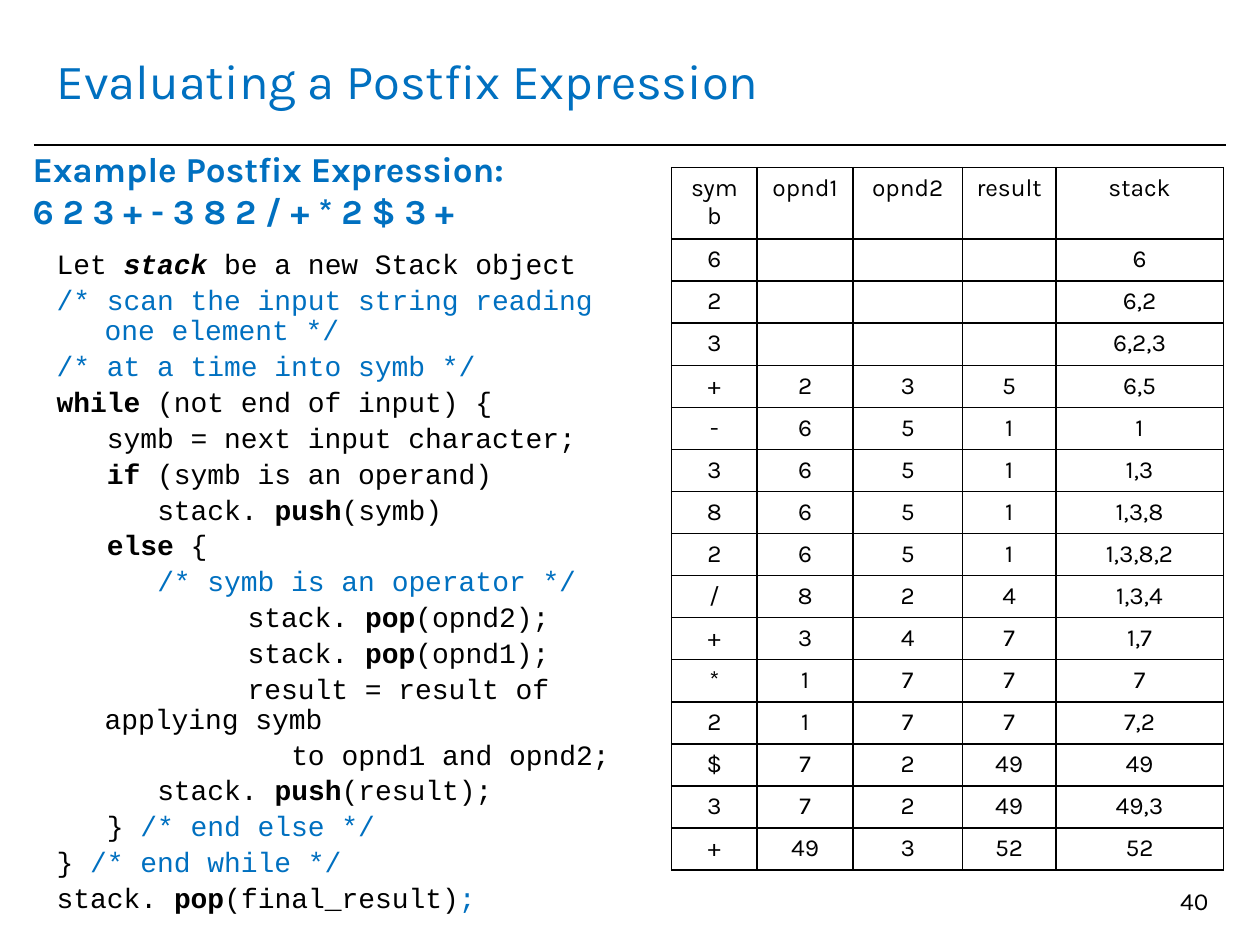
"""Build the slide that traces the evaluation of a postfix expression."""
from lxml import etree
from pptx import Presentation
from pptx import util as u
from pptx.dml.color import RGBColor
from pptx.enum import shapes, text
from pptx.oxml import ns

BLUE = RGBColor(0x00, 0x70, 0xC0)
BLACK = RGBColor(0x00, 0x00, 0x00)
WHITE = RGBColor(0xFF, 0xFF, 0xFF)
GRID_UNIT = u.Inches(0.1)
HANGING = 3.8
CHARACTER = 1.33
ROW_HEIGHT = 3.33

TITLE_FONT = {"name": "Karla", "size": u.Pt(28)}
HEADING_FONT = {"name": "Karla", "size": u.Pt(20), "bold": True}
SMALL_FONT = {"name": "Karla", "size": u.Pt(14)}
CODE_FONT = {"name": "Courier New", "size": u.Pt(16)}
STYLES = {
    "plain": (BLACK, {}),
    "bold": (BLACK, {"bold": True}),
    "name": (BLACK, {"bold": True, "italic": True}),
    "note": (BLUE, {}),
}

CODE = [
    (0, [("Let ", "plain"), ("stack", "name"), (" be a new Stack object", "plain")]),
    (0, [("/* scan the input string reading one element */", "note")]),
    (0, [("/* at a time into symb */", "note")]),
    (0, [("while", "bold"), (" (not end of input) {", "plain")]),
    (3, [("symb = next input character;", "plain")]),
    (3, [("if", "bold"), (" (symb is an operand)", "plain")]),
    (6, [("stack. ", "plain"), ("push", "bold"), ("(symb)", "plain")]),
    (3, [("else", "bold"), (" {", "plain")]),
    (6, [("/* symb is an operator */", "note")]),
    (11.4, [("stack. ", "plain"), ("pop", "bold"), ("(opnd2);", "plain")]),
    (11.4, [("stack. ", "plain"), ("pop", "bold"), ("(opnd1);", "plain")]),
    (11.4, [("result = result of applying symb", "plain")]),
    (14, [("to opnd1 and opnd2;", "plain")]),
    (6, [("stack. ", "plain"), ("push", "bold"), ("(result);", "plain")]),
    (3, [("} ", "plain"), ("/* end else */", "note")]),
    (0, [("} ", "plain"), ("/* end while */", "note")]),
    (0, [("stack. ", "plain"), ("pop", "bold"), ("(final_result)", "plain"), (";", "note")]),
]

TRACE_COLUMNS = [6.8, 7.6, 8.7, 7.4, 13.3]
TRACE = [
    ("symb", "opnd1", "opnd2", "result", "stack"),
    ("6", "", "", "", "6"),
    ("2", "", "", "", "6,2"),
    ("3", "", "", "", "6,2,3"),
    ("+", "2", "3", "5", "6,5"),
    ("-", "6", "5", "1", "1"),
    ("3", "6", "5", "1", "1,3"),
    ("8", "6", "5", "1", "1,3,8"),
    ("2", "6", "5", "1", "1,3,8,2"),
    ("/", "8", "2", "4", "1,3,4"),
    ("+", "3", "4", "7", "1,7"),
    ("*", "1", "7", "7", "7"),
    ("2", "1", "7", "7", "7,2"),
    ("$", "7", "2", "49", "49"),
    ("3", "7", "2", "49", "49,3"),
    ("+", "49", "3", "52", "52"),
]


def grid(*units):
    """Turn columns and rows of the grid into lengths."""
    return [u.Emu(round(unit * GRID_UNIT)) for unit in units]


def set_values(target, values):
    """Set each attribute that a dict of format values names."""
    for name, value in values.items():
        setattr(target, name, value)


def place(shape, *box):
    """Move and size a shape by grid units."""
    set_values(shape, dict(zip(("left", "top", "width", "height"), grid(*box))))


def write_span(para, words, font, color):
    """Add one formatted run to a paragraph."""
    span = para.add_run()
    span.text = words
    set_values(span.font, font)
    span.font.color.rgb = color


def add_title(page, words):
    """Fill the title placeholder."""
    title = page.shapes.title
    place(title, 3.5, 2.1, 92.9, 8.5)
    set_values(title.text_frame, {"vertical_anchor": text.MSO_ANCHOR.MIDDLE,
                                  "auto_size": text.MSO_AUTO_SIZE.NONE})
    para = title.text_frame.paragraphs[0]
    para.alignment = text.PP_ALIGN.LEFT
    write_span(para, words, TITLE_FONT, BLUE)


def add_rule(page):
    """Draw the line below the title."""
    rule = page.shapes.add_connector(
        shapes.MSO_CONNECTOR.STRAIGHT, *grid(2.7, 11.5, 97.3, 11.5))
    rule.line.color.rgb = BLACK
    rule.line.width = u.Pt(1)
    etree.SubElement(rule.element.spPr, ns.qn("a:effectLst"))


def add_text(page, box, lines, font, color, alignment=text.PP_ALIGN.LEFT):
    """Add a wrapping text box with one paragraph for each line."""
    frame = page.shapes.add_textbox(*grid(*box)).text_frame
    frame.word_wrap = True
    for number, line in enumerate(lines):
        para = frame.add_paragraph() if number else frame.paragraphs[0]
        para.alignment = alignment
        write_span(para, line, font, color)


def add_code(page):
    """Fill the body placeholder with the indented algorithm."""
    body = page.placeholders[1]
    place(body, 3.5, 19.4, 48.8, 55.9)
    frame = body.text_frame
    frame.auto_size = text.MSO_AUTO_SIZE.NONE
    for number, (depth, spans) in enumerate(CODE):
        para = frame.add_paragraph() if number else frame.paragraphs[0]
        set_values(para, {"line_spacing": 0.9, "space_before": u.Pt(3.2)})
        properties = para._p.get_or_add_pPr()
        margin, indent = grid(HANGING, depth * CHARACTER - HANGING)
        properties.set("marL", str(margin))
        properties.set("indent", str(indent))
        etree.SubElement(properties, ns.qn("a:buNone"))
        for words, style in spans:
            color, extra = STYLES[style]
            write_span(para, words, CODE_FONT | extra, color)


def format_cell(cell, words):
    """Write a centred value in a white cell with black borders."""
    para = cell.text_frame.paragraphs[0]
    para.alignment = text.PP_ALIGN.CENTER
    if words:
        write_span(para, words, SMALL_FONT, BLACK)
    else:
        end = etree.SubElement(para._p, ns.qn("a:endParaRPr"))
        end.set("sz", str(int(SMALL_FONT["size"].pt * 100)))
    properties = cell._tc.get_or_add_tcPr()
    for side in ("lnL", "lnR", "lnT", "lnB"):
        border = etree.SubElement(properties, ns.qn(f"a:{side}"), w=str(u.Pt(1)))
        fill = etree.SubElement(border, ns.qn("a:solidFill"))
        etree.SubElement(fill, ns.qn("a:srgbClr"), val=str(BLACK))
    cell.fill.solid()
    cell.fill.fore_color.rgb = WHITE


def add_trace(page):
    """Add the table that follows the operands and the stack."""
    box = (53.3, 13.3, sum(TRACE_COLUMNS), ROW_HEIGHT * len(TRACE))
    table = page.shapes.add_table(len(TRACE), len(TRACE_COLUMNS), *grid(*box)).table
    set_values(table, {"first_row": False, "horz_banding": False})
    for column, width in zip(table.columns, grid(*TRACE_COLUMNS)):
        column.width = width
    for row, values in zip(table.rows, TRACE):
        for cell, words in zip(row.cells, values):
            format_cell(cell, words)


def main():
    """Build and save the slide."""
    deck = Presentation()
    deck.slide_width, deck.slide_height = grid(100, 75)
    page = deck.slides.add_slide(deck.slide_layouts[1])
    add_rule(page)
    add_title(page, "Evaluating a Postfix Expression")
    add_code(page)
    add_text(page, (73.6, 69.8, 23.3, 5.2), ["40"], SMALL_FONT, BLACK,
             text.PP_ALIGN.RIGHT)
    add_trace(page)
    add_text(page, (1.6, 11.2, 42.1, 7.7),
             ["Example Postfix Expression:", "6 2 3 + - 3 8 2 / + * 2 $ 3 +"],
             HEADING_FONT, BLUE)
    deck.save("out.pptx")


if __name__ == "__main__":
    main()
